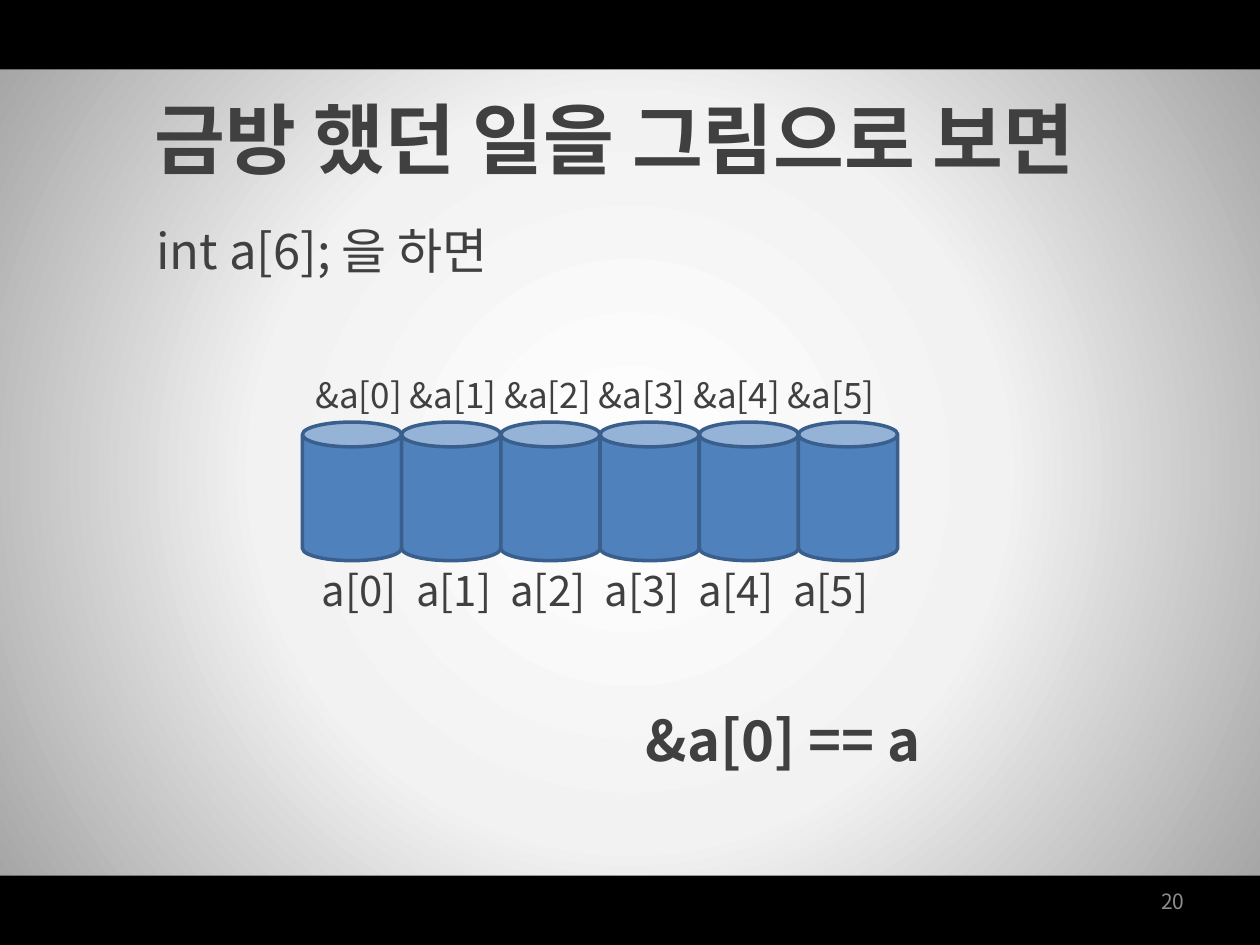
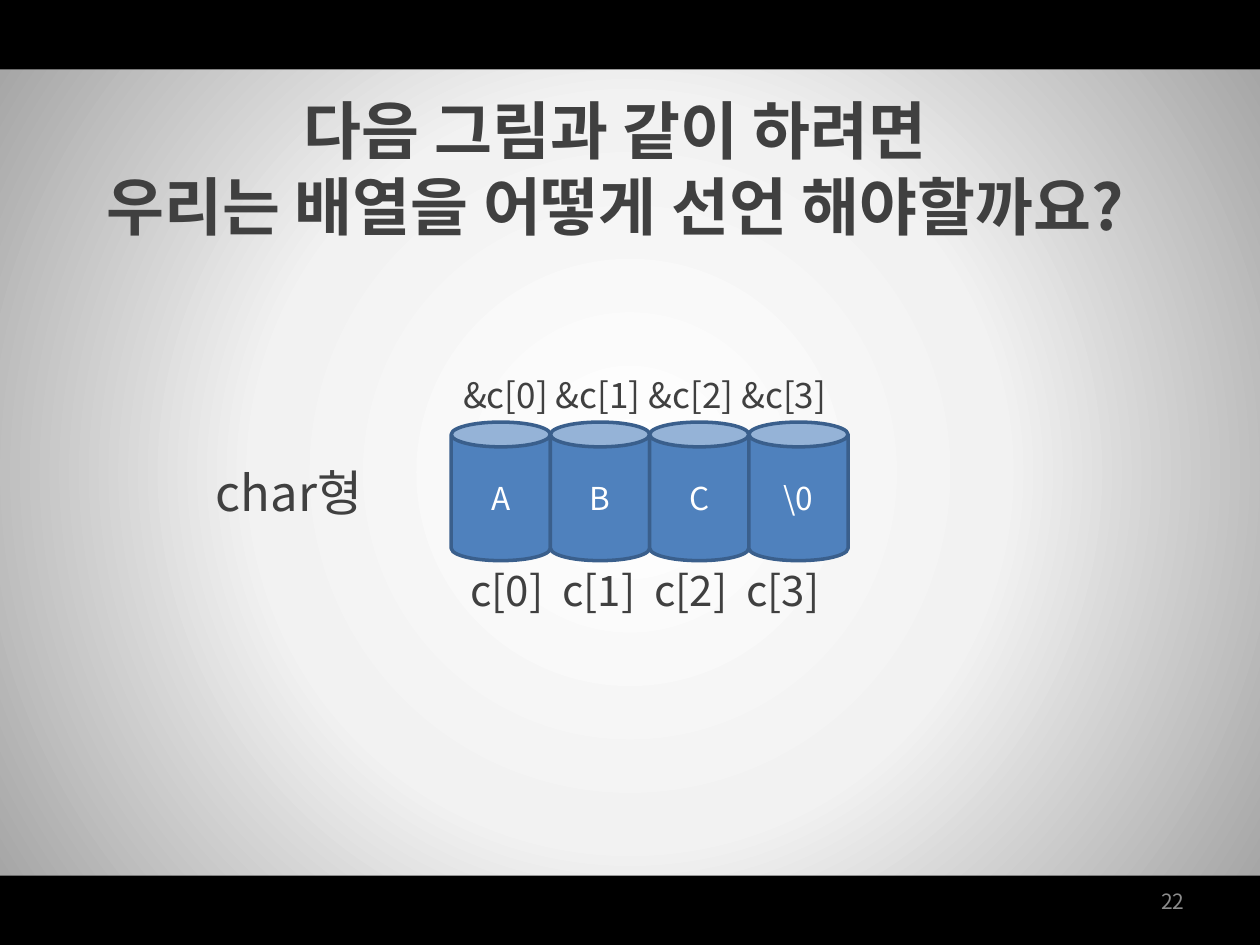
import pptx
import pptx.util
import pptx.oxml
import pptx.oxml.ns
import pptx.dml.color
import pptx.enum.shapes
import pptx.enum.text

Pt = pptx.util.Pt
SHAPE = pptx.enum.shapes.MSO_SHAPE
ALIGN = pptx.enum.text.PP_ALIGN
MIDDLE = pptx.enum.text.MSO_ANCHOR.MIDDLE
TOP = pptx.enum.text.MSO_ANCHOR.TOP

FONT = "Noto Sans CJK KR"
INK = {"band": "000000", "text": "404040", "page": "8C8C8C",
       "can": "4F81BD", "edge": "3A5F8C", "light": "FFFFFF"}
GLOW = [(0, "FFFFFF"), (50, "F2F2F2"), (100, "A6A6A6")]

WIDE, HIGH = 720, 540
BAND = 39.6
CELL, TALL, CELL_TOP = 56.7, 79.2, 241.2
ROW, SHIFT = 391, -2.8  # label row width, and its offset from the cells' middle

STYLE = {
    "big": {"size": Pt(44), "bold": True},
    "title": {"size": Pt(36), "bold": True},
    "sum": {"size": Pt(32), "bold": True},
    "body": {"size": Pt(28)},
    "name": {"size": Pt(24)},
    "ref": {"size": Pt(20)},
    "cell": {"size": Pt(18)},
    "page": {"size": Pt(12)},
}

# Notes are (text, style, box); boxes are left, top, width, height.
SLIDES = [
    {"page": "20", "title": ["금방 했던 일을 그림으로 보면"], "style": "big",
     "var": "a", "left": 172.8, "cells": [""] * 6,
     "notes": [("int a[6]; 을 하면", "body", (67, 122.4, 234, 41)),
               ("&a[0] == a", "sum", (252, 399.6, ROW, 46))]},
    {"page": "22", "style": "title",
     "title": ["다음 그림과 같이 하려면", "우리는 배열을 어떻게 선언 해야할까요?"],
     "var": "c", "left": 257.85, "cells": ["A", "B", "C", "\\0"],
     "notes": [("char형", "body", (48.2, 260.6, 234, 41))]},
]


def color(key):
    """Return a named colour."""
    return pptx.dml.color.RGBColor.from_string(INK[key])


def add_run(para, text, style, ink, gap=0):
    """Add a styled run; gap is extra letter spacing in points."""
    run = para.add_run()
    run.text = text
    for key, value in {"name": FONT, **STYLE[style]}.items():
        setattr(run.font, key, value)
    run.font.color.rgb = color(ink)
    props = run._r.get_or_add_rPr()
    east = props.makeelement(pptx.oxml.ns.qn("a:ea"), {"typeface": FONT})
    props.append(east)
    if gap:
        props.set("spc", str(round(gap * 100)))


def add_text(slide, box, lines, style, ink="text", align=ALIGN.CENTER,
             anchor=TOP, gap=0):
    """Add a text box; with a gap, the spaces in it are widened."""
    frame = slide.shapes.add_textbox(*map(Pt, box)).text_frame
    frame.word_wrap = True
    frame.vertical_anchor = anchor
    for i, line in enumerate(lines):
        para = frame.paragraphs[0] if i == 0 else frame.add_paragraph()
        para.alignment = align
        words = line.split(" ") if gap else [line]
        for j, word in enumerate(words):
            if j:
                add_run(para, " ", style, ink, gap)
            add_run(para, word, style, ink)


def add_block(slide, kind, box, fill, edge=None):
    """Add a flat shape, with an outline if edge is given."""
    shape = slide.shapes.add_shape(kind, *map(Pt, box))
    shape.shadow.inherit = False
    shape.fill.solid()
    shape.fill.fore_color.rgb = color(fill)
    if edge:
        shape.line.color.rgb = color(edge)
        shape.line.width = Pt(2)
    else:
        shape.line.fill.background()
    return shape


def add_glow(shape):
    """Swap the solid fill for a gradient that spreads from the centre."""
    stops = "".join(
        f'<a:gs pos="{pos * 1000}"><a:srgbClr val="{tone}"/></a:gs>'
        for pos, tone in GLOW)
    glow = pptx.oxml.parse_xml(
        f'<a:gradFill {pptx.oxml.ns.nsdecls("a")} rotWithShape="1">'
        f'<a:gsLst>{stops}</a:gsLst><a:path path="circle">'
        '<a:fillToRect l="50000" t="50000" r="50000" b="50000"/>'
        '</a:path></a:gradFill>')
    props = shape.element.spPr
    props.replace(props.find(pptx.oxml.ns.qn("a:solidFill")), glow)


def add_frame(slide, page):
    """Add the backdrop, both bands and the page number."""
    low = HIGH - BAND
    add_glow(add_block(slide, SHAPE.RECTANGLE,
                       (0, BAND, WIDE, low - BAND), "light"))
    for top in (0, low):
        add_block(slide, SHAPE.RECTANGLE, (0, top, WIDE, BAND), "band")
    add_text(slide, (516, low, 168, 28.8), [page], "page", "page",
             ALIGN.RIGHT, MIDDLE)


def add_cells(slide, var, left, cells):
    """Add a row of cans with addresses above and names below."""
    for i, text in enumerate(cells):
        can = add_block(slide, SHAPE.CAN,
                        (left + i * CELL, CELL_TOP, CELL, TALL), "can", "edge")
        if text:
            can.text_frame.vertical_anchor = MIDDLE
            para = can.text_frame.paragraphs[0]
            para.alignment = ALIGN.CENTER
            add_run(para, text, "cell", "light")
    names = [f"{var}[{i}]" for i in range(len(cells))]
    row = left + (len(cells) * CELL - ROW) / 2 + SHIFT
    add_text(slide, (row, 209.7, ROW, 31.5),
             [" ".join("&" + name for name in names)], "ref")
    add_text(slide, (row, 319, ROW, 36), [" ".join(names)], "name", gap=5.4)


def build():
    """Build and save the deck."""
    deck = pptx.Presentation()
    deck.slide_width, deck.slide_height = Pt(WIDE), Pt(HIGH)
    for item in SLIDES:
        slide = deck.slides.add_slide(deck.slide_layouts[6])
        add_frame(slide, item["page"])
        add_cells(slide, item["var"], item["left"], item["cells"])
        high = 60.5 if len(item["title"]) == 1 else 94.5
        add_text(slide, (20, 49, 663, high), item["title"], item["style"])
        for text, style, box in item["notes"]:
            add_text(slide, box, [text], style)
    deck.save("out.pptx")


build()
